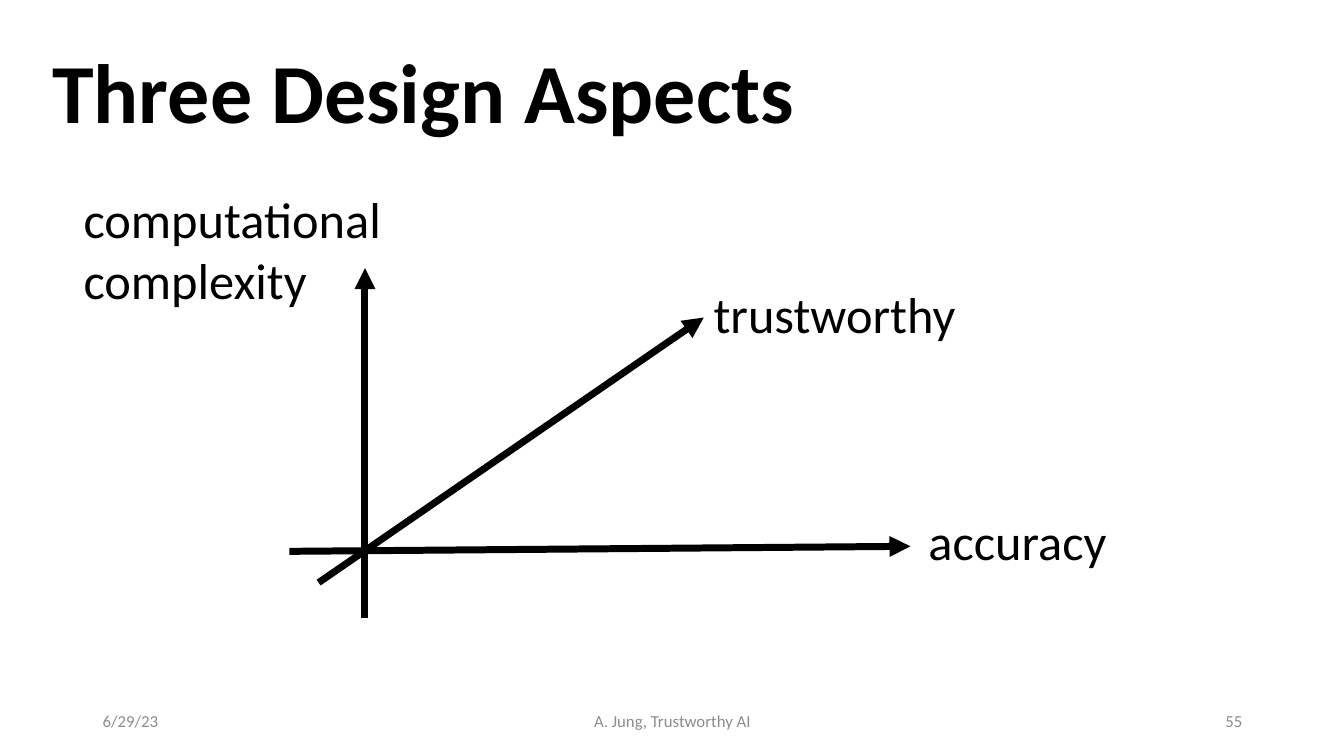
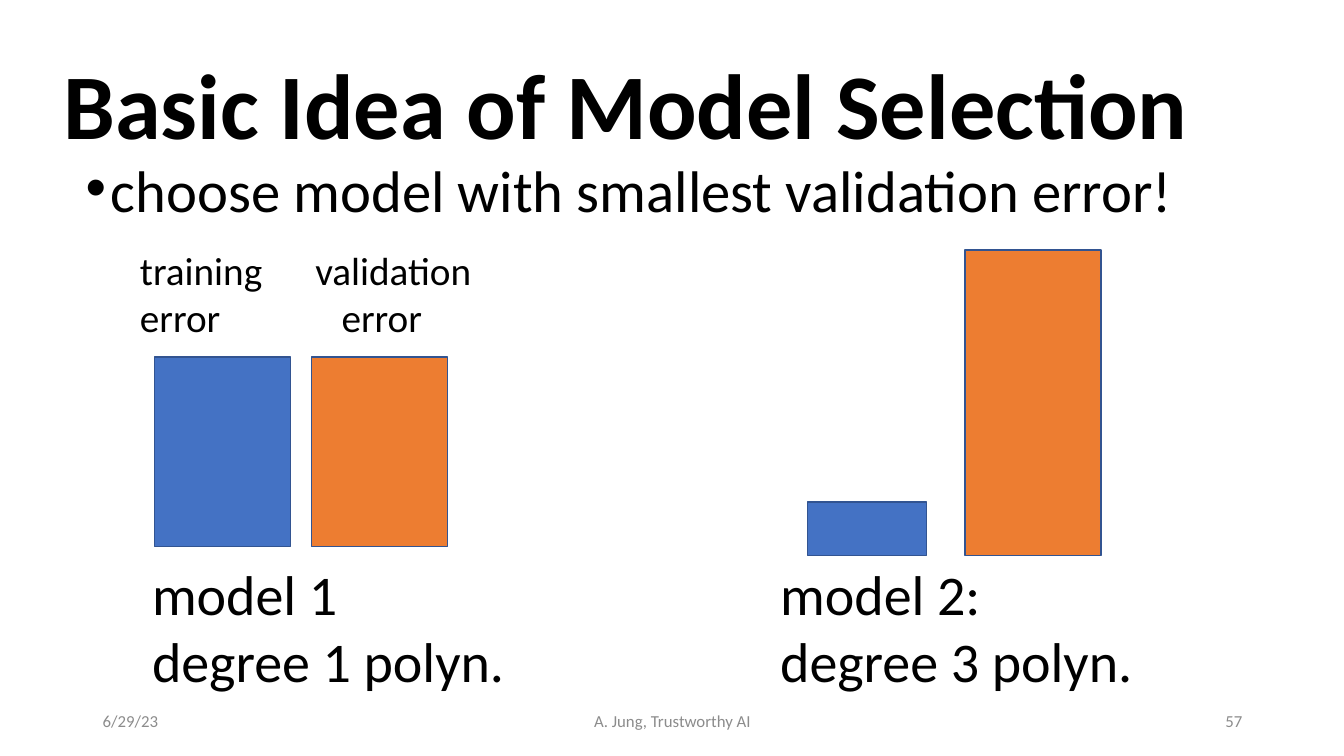
from lxml.etree import SubElement
from pptx import Presentation
from pptx.dml.color import RGBColor
from pptx.enum.shapes import MSO_CONNECTOR, MSO_SHAPE
from pptx.enum.text import MSO_ANCHOR, PP_ALIGN
from pptx.oxml.ns import qn
from pptx.util import Pt

PX = 9144  # EMU per px, 100 px to the inch
FONT = "Calibri"
BLACK = RGBColor(0x00, 0x00, 0x00)
GRAY = RGBColor(0x8C, 0x8C, 0x8C)
BLUE = RGBColor(0x44, 0x72, 0xC4)
ORANGE = RGBColor(0xED, 0x7D, 0x31)
BAR_EDGE = RGBColor(0x32, 0x54, 0x91)

BAR_WIDTH = 135
BAR_STEP = 156


def px(*lengths):
    return [length * PX for length in lengths]


def add_text(slide, box, lines, size, color=BLACK, bold=False,
             anchor=MSO_ANCHOR.TOP, **paragraph_format):
    """Add one paragraph per line and return the paragraphs."""
    frame = slide.shapes.add_textbox(*px(*box)).text_frame
    frame.word_wrap = True
    frame.vertical_anchor = anchor
    frame.text = "\n".join(lines)
    font_format = {"name": FONT, "size": Pt(size), "bold": bold}
    for paragraph in frame.paragraphs:
        for name, value in paragraph_format.items():
            setattr(paragraph, name, value)
        font = paragraph.runs[0].font
        for name, value in font_format.items():
            setattr(font, name, value)
        font.color.rgb = color
    return frame.paragraphs


def indent(paragraph, left, first_line=0):
    properties = paragraph._p.get_or_add_pPr()
    properties.set("marL", str(left * PX))
    properties.set("indent", str(first_line * PX))
    return properties


def add_title(slide, box, title, size):
    add_text(slide, box, [title], size, bold=True,
             anchor=MSO_ANCHOR.MIDDLE, line_spacing=0.9)


def add_bullet(slide, box, text, size):
    paragraph = add_text(slide, box, [text], size, line_spacing=0.7,
                         space_before=Pt(10))[0]
    properties = indent(paragraph, 25, -25)
    SubElement(properties, qn("a:buFont"), typeface="Arial")
    SubElement(properties, qn("a:buChar"), char="•")


def add_footer(slide, number):
    for left, width, text, alignment in (
        (92, 300, "6/29/23", PP_ALIGN.LEFT),
        (442, 450, "A. Jung, Trustworthy AI", PP_ALIGN.CENTER),
        (942, 300, str(number), PP_ALIGN.RIGHT),
    ):
        add_text(slide, (left, 695, width, 40), [text], 12, GRAY,
                 anchor=MSO_ANCHOR.MIDDLE, alignment=alignment)


def add_axis(slide, start, end):
    axis = slide.shapes.add_connector(MSO_CONNECTOR.STRAIGHT,
                                      *px(*start, *end))
    axis.line.color.rgb = BLACK
    axis.line.width = Pt(5)
    SubElement(axis.line._get_or_add_ln(), qn("a:tailEnd"), type="triangle")
    SubElement(axis._element.spPr, qn("a:effectLst"))


def add_bar(slide, left, base, width, height, color):
    bar = slide.shapes.add_shape(MSO_SHAPE.RECTANGLE,
                                 *px(left, base - height, width, height))
    bar.shadow.inherit = False
    bar.fill.solid()
    bar.fill.fore_color.rgb = color
    bar.line.color.rgb = BAR_EDGE
    bar.line.width = Pt(1)


def add_error_bars(slide, left, base, training, validation):
    """Draw a model's two bars, each error given as (width, height)."""
    add_bar(slide, left, base, *training, BLUE)
    add_bar(slide, left + BAR_STEP, base, *validation, ORANGE)


def build_design_aspects(slide):
    add_title(slide, (42, 23, 1150, 145), "Three Design Aspects", 60)
    for box, lines in (
        ((73, 182, 341, 131), ["computational", "complexity"]),
        ((911, 501, 262, 71), ["accuracy"]),
        ((698, 276, 280, 71), ["trustworthy"]),
    ):
        add_text(slide, box, lines, 36)
    for start, end in (
        ((362, 613), (362, 266)),
        ((287, 547), (903, 542)),
        ((316, 578), (698, 315)),
    ):
        add_axis(slide, start, end)
    add_footer(slide, 55)


def build_model_selection(slide):
    add_title(slide, (53, 21, 1219, 175), "Basic Idea of Model Selection", 66)
    add_bullet(slide, (75, 167, 1150, 86),
               "choose model with smallest validation error!", 41.9)
    add_text(slide, (129, 239, 160, 104), ["training", "error"], 28)
    validation_label = add_text(slide, (303, 239, 200, 104),
                                ["validation", "error"], 28)
    indent(validation_label[1], 26)
    add_error_bars(slide, 153, 542, (BAR_WIDTH, 188), (BAR_WIDTH, 188))
    add_error_bars(slide, 801, 551, (118, 53), (BAR_WIDTH, 303))
    for left, lines in (
        (141, ["model 1", "degree 1 polyn."]),
        (764, ["model 2:", "degree 3 polyn."]),
    ):
        add_text(slide, (left, 550, 386, 145), lines, 40)
    add_footer(slide, 57)


def main():
    presentation = Presentation()
    presentation.slide_width, presentation.slide_height = px(1333, 750)
    blank_layout = presentation.slide_layouts[6]
    for build in (build_design_aspects, build_model_selection):
        build(presentation.slides.add_slide(blank_layout))
    presentation.save("out.pptx")


if __name__ == "__main__":
    main()
